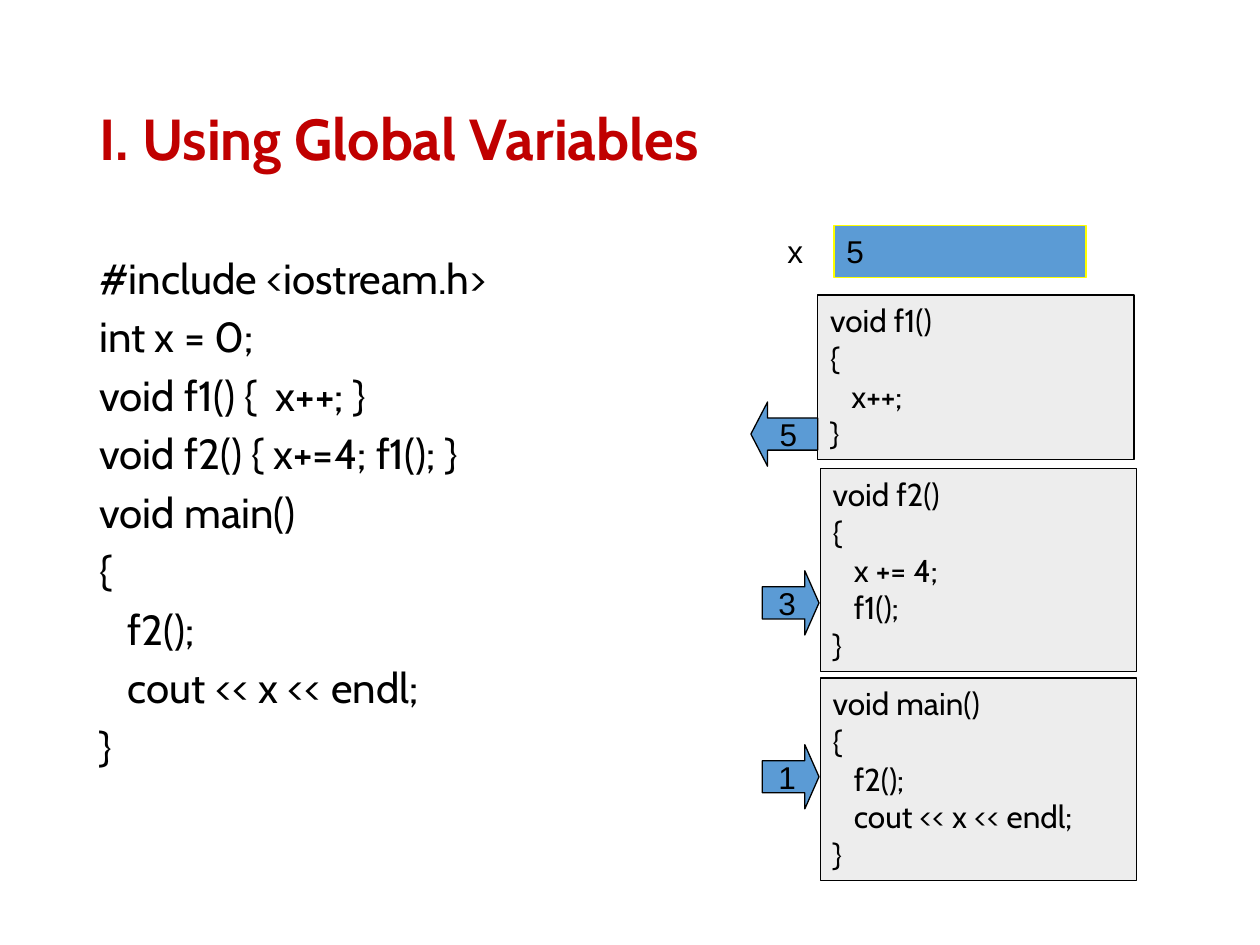
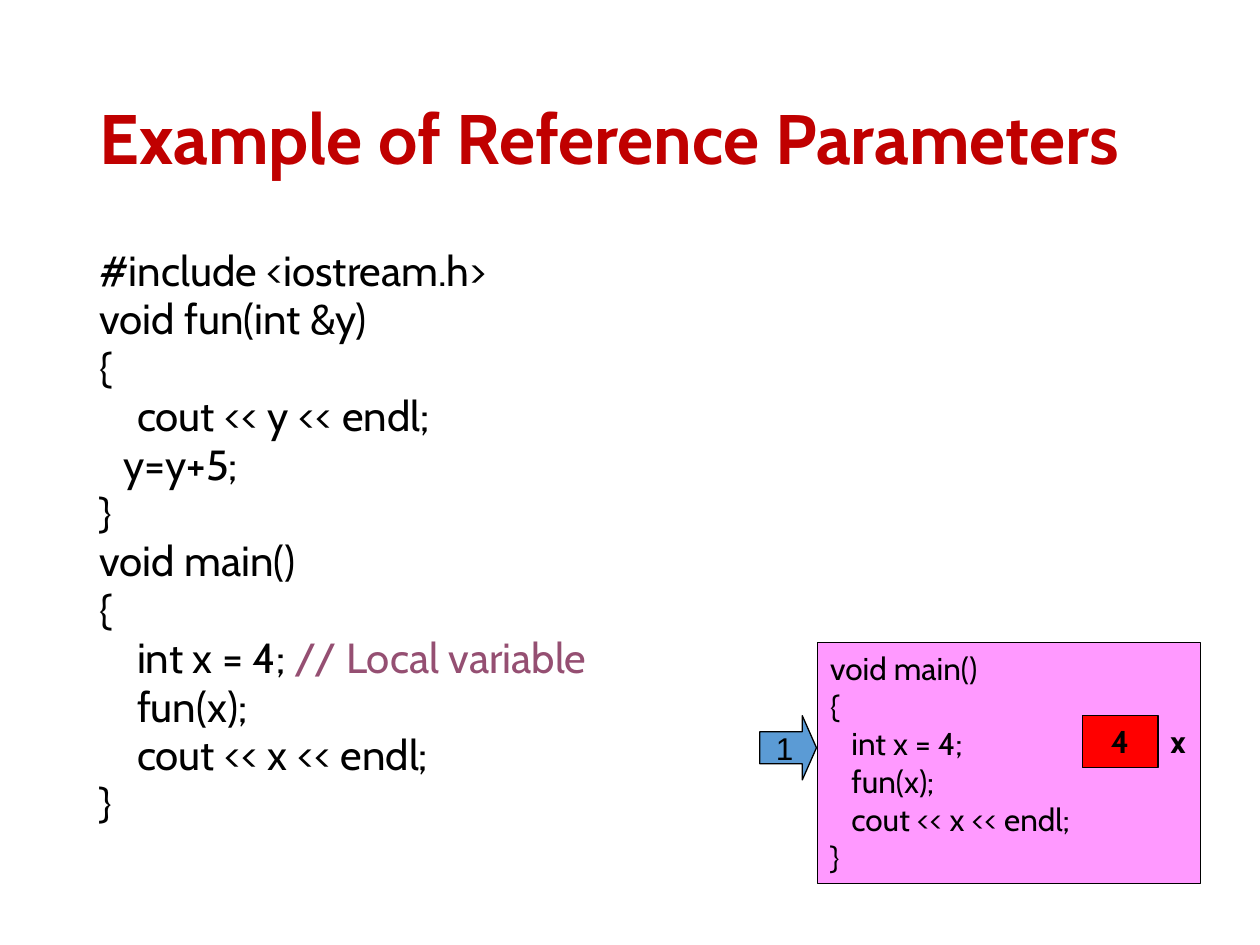
from pptx import Presentation
from pptx.dml.color import RGBColor
from pptx.enum.shapes import MSO_SHAPE
from pptx.enum.text import MSO_ANCHOR, PP_ALIGN
from pptx.util import Inches, Pt

RECTANGLE = MSO_SHAPE.RECTANGLE
ENTER_ARROW, RETURN_ARROW = MSO_SHAPE.RIGHT_ARROW, MSO_SHAPE.LEFT_ARROW
TOP, MIDDLE = MSO_ANCHOR.TOP, MSO_ANCHOR.MIDDLE
LEFT, CENTER = PP_ALIGN.LEFT, PP_ALIGN.CENTER

COLORS = {
    "title": "C00000", "text": "000000", "comment": "954F72",
    "blue": "5B9BD5", "yellow": "FFFF00", "red": "FF0000",
    "gray": "EDEDED", "pink": "FF99FF",
}
CODE_FONT, LABEL_FONT = "Cabin", "Arial"
TITLE_BOX = (0.69, 0.4, 8.62, 1.45)
CODE_BOX = (0.69, 2, 4.25, 4.76)
CODE_INDENT = Inches(0.19)
ARROW_HEIGHT = 0.51

GLOBAL_CODE = """#include <iostream.h>
int x = 0;
void f1() {  x++; }
void f2() { x+=4; f1(); }
void main()
{
   f2();
   cout << x << endl;
}"""
REFERENCE_CODE = """#include <iostream.h>
void fun(int &y)
{
    cout << y << endl;
\ty=y+5;
}
void main()
{
    int x = 4; // Local variable
    fun(x);
    cout << x << endl;
}"""

# Frame box, frame code, arrow shape, arrow offset from the frame top, step
GLOBAL_CALLS = [
    ((6.51, 5.38, 2.51, 1.61), "void main()\n{\n   f2();\n   cout << x << endl;\n}",
     ENTER_ARROW, 0.53, "1"),
    ((6.51, 3.72, 2.51, 1.61), "void f2()\n{\n   x += 4;\n   f1();\n}",
     ENTER_ARROW, 0.81, "3"),
    ((6.49, 2.34, 2.51, 1.31), "void f1()\n{\n   x++;\n}",
     RETURN_ARROW, 0.85, "5"),
]
REFERENCE_CALL = (
    (6.49, 5.1, 3.04, 1.91),
    "void main()\n{\n   int x = 4;\n   fun(x);\n   cout << x << endl;\n}",
    ENTER_ARROW, 0.58, "1")


def color(name):
    return RGBColor.from_string(COLORS[name])


def style_run(run, size, font, color_name="text", bold=False):
    run.font.size = Pt(size)
    run.font.name = font
    run.font.bold = bold
    run.font.color.rgb = color(color_name)


def write(shape, text, size=18, font=CODE_FONT, color_name="text", bold=False,
          align=LEFT, anchor=TOP, wrap=True):
    """Fill a shape with one paragraph for each line of text."""
    text_frame = shape.text_frame
    text_frame.word_wrap = wrap
    text_frame.vertical_anchor = anchor
    text_frame.text = text
    for paragraph in text_frame.paragraphs:
        paragraph.alignment = align
        for run in paragraph.runs:
            style_run(run, size, font, color_name, bold)
    return text_frame


def add_text(slide, box, text, **style):
    shape = slide.shapes.add_textbox(*map(Inches, box))
    return write(shape, text, **style)


def add_block(slide, kind, box, text, fill, line="text", **style):
    shape = slide.shapes.add_shape(kind, *map(Inches, box))
    shape.shadow.inherit = False
    shape.fill.solid()
    shape.fill.fore_color.rgb = color(fill)
    shape.line.color.rgb = color(line)
    shape.line.width = Pt(0.75)
    write(shape, text, **style)
    return shape


def add_title(slide, text, size):
    text_frame = add_text(slide, TITLE_BOX, text, size=size, color_name="title",
                          bold=True, anchor=MIDDLE)
    text_frame.paragraphs[0].line_spacing = 0.9


def add_listing(slide, code, line_spacing):
    """Program listing with hanging indents and coloured comments."""
    text_frame = add_text(slide, CODE_BOX, code, size=24)
    for index, paragraph in enumerate(text_frame.paragraphs):
        properties = paragraph._p.get_or_add_pPr()
        properties.set("marL", str(CODE_INDENT))
        properties.set("indent", str(-CODE_INDENT))
        paragraph.line_spacing = line_spacing
        paragraph.space_before = Pt(7.5 if index else 0)
        statement, slashes, comment = paragraph.text.partition("//")
        if slashes:
            paragraph.runs[0].text = statement
            comment_run = paragraph.add_run()
            comment_run.text = slashes + comment
            style_run(comment_run, 24, CODE_FONT, "comment")


def add_call(slide, box, code, arrow_kind, arrow_offset, step, fill):
    """Function frame with a numbered arrow on its left side."""
    left, top = box[:2]
    add_block(slide, RECTANGLE, box, code, fill)
    if arrow_kind == ENTER_ARROW:
        width, gap, head = 0.45, 0.01, 0.25
    else:
        width, gap, head = 0.53, 0, 0.26
    arrow_box = (left - gap - width, top + arrow_offset, width, ARROW_HEIGHT)
    arrow = add_block(slide, arrow_kind, arrow_box, step, "blue", font=LABEL_FONT,
                      align=CENTER, anchor=MIDDLE, wrap=False)
    arrow.adjustments[0] = 0.5
    arrow.adjustments[1] = head


def add_global_variables_slide(presentation):
    slide = presentation.slides.add_slide(presentation.slide_layouts[6])
    add_title(slide, "I. Using Global Variables", 33)
    add_listing(slide, GLOBAL_CODE, 0.9)
    # Global variable x
    add_block(slide, RECTANGLE, (6.62, 1.79, 2, 0.41), "5", "blue", "yellow",
              font=LABEL_FONT)
    add_text(slide, (6.15, 1.79, 0.36, 0.4), "x", font=LABEL_FONT)
    # Call stack
    for call in GLOBAL_CALLS:
        add_call(slide, *call, fill="gray")


def add_reference_parameters_slide(presentation):
    slide = presentation.slides.add_slide(presentation.slide_layouts[6])
    add_title(slide, "Example of Reference Parameters", 40)
    add_listing(slide, REFERENCE_CODE, 0.7)
    add_call(slide, *REFERENCE_CALL, fill="pink")
    # Local variable x
    add_text(slide, (9.19, 5.68, 0.36, 0.4), "x", bold=True)
    add_block(slide, RECTANGLE, (8.59, 5.68, 0.6, 0.41), "4", "red",
              bold=True, align=CENTER)


def main():
    presentation = Presentation()
    presentation.slide_width = Inches(10)
    presentation.slide_height = Inches(7.5)
    add_global_variables_slide(presentation)
    add_reference_parameters_slide(presentation)
    presentation.save("out.pptx")


if __name__ == "__main__":
    main()
